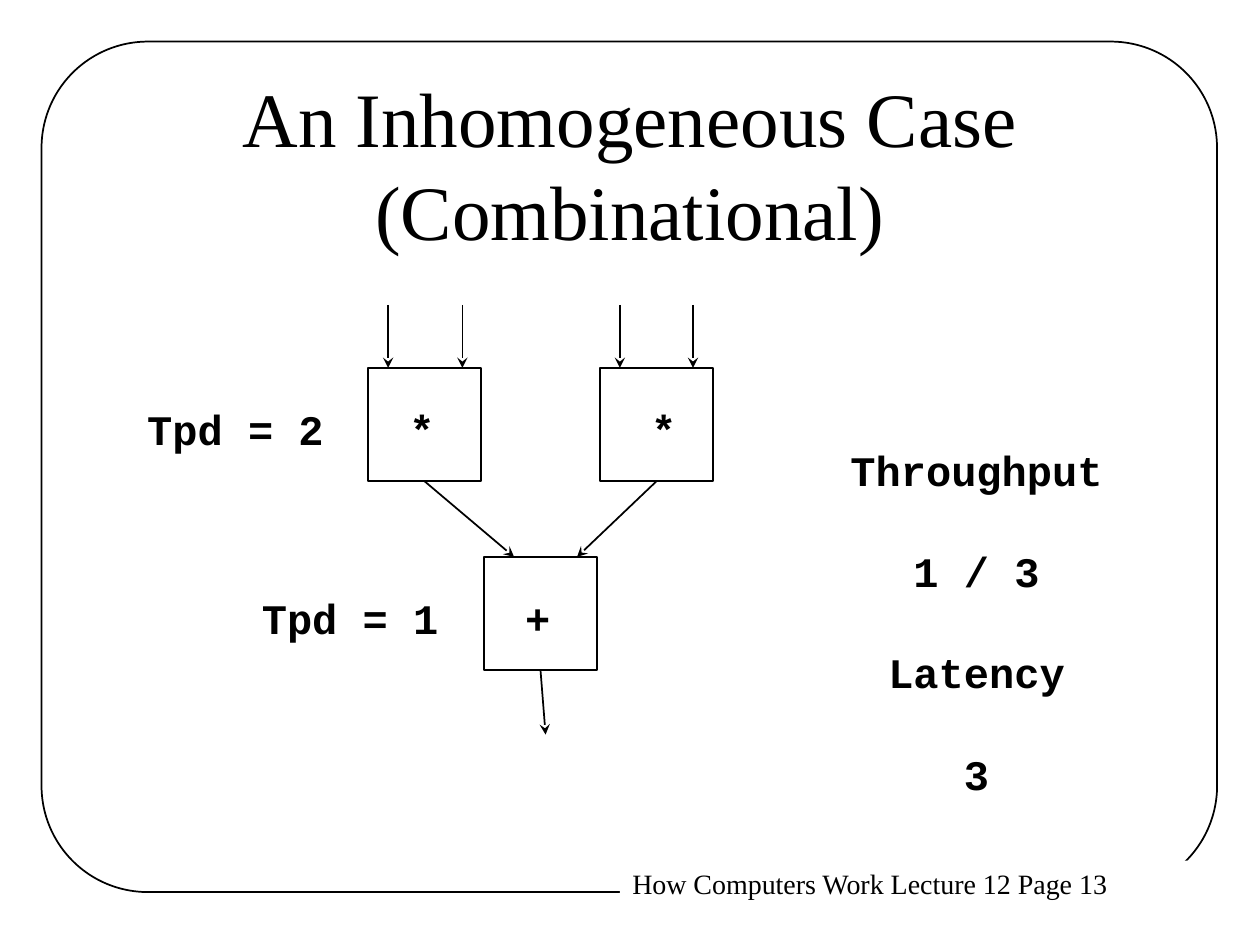
from dataclasses import dataclass

from lxml.etree import SubElement
from pptx import Presentation
from pptx.dml.color import RGBColor
from pptx.enum.shapes import MSO_CONNECTOR, MSO_SHAPE
from pptx.enum.text import MSO_ANCHOR, PP_ALIGN
from pptx.oxml.ns import qn
from pptx.shapes.autoshape import Shape
from pptx.shapes.connector import Connector
from pptx.slide import Slide
from pptx.util import Inches, Pt

COLORS = {"ink": "000000", "paper": "FFFFFF"}
SERIF = "Times New Roman"
MONO = "Courier New"
BOX_SIZE = 0.9
INPUT_LENGTH = 0.5
BOTTOM_SIDE = 2


@dataclass
class Label:
    lines: list[str]
    left: float
    top: float
    width: float
    height: float
    font: str = MONO
    size: int = 24
    bold: bool = True
    align: PP_ALIGN = PP_ALIGN.LEFT
    anchor: MSO_ANCHOR = MSO_ANCHOR.TOP
    wrap: bool = False
    gap: float = 0
    filled: bool = False


@dataclass
class Operator:
    left: float
    top: float
    symbol: str
    symbol_left: float
    input_xs: tuple[float, ...] = ()


OPERATORS = [
    Operator(2.92, 2.92, "*", 3.15, (3.08, 3.67)),
    Operator(4.76, 2.92, "*", 5.07, (4.92, 5.5)),
    Operator(3.84, 4.42, "+", 4.07),
]
OUTPUT_ENDS = [(4.08, 4.42), (4.58, 4.42), (4.33, 5.83)]

FOOTER = Label(["How Computers Work Lecture 12 Page 13"], 4.92, 6.83, 4.7, 0.37,
               font=SERIF, size=16, bold=False, wrap=True, filled=True)
TITLE = Label(["An Inhomogeneous Case\v(Combinational)"], 0.75, 0.67, 8.5, 1.25,
              font=SERIF, size=44, bold=False, align=PP_ALIGN.CENTER,
              anchor=MSO_ANCHOR.MIDDLE, wrap=True)
RESULTS = Label(["Throughput", "1 / 3", "Latency", "3"], 6.65, 3.48, 2.2, 2.9,
                align=PP_ALIGN.CENTER, gap=29)
DELAYS = [
    Label(["Tpd = 2"], 1.07, 3.15, 1.6, 0.5),
    Label(["Tpd = 1"], 1.98, 4.65, 1.6, 0.5),
]


def color(name: str) -> RGBColor:
    return RGBColor.from_string(COLORS[name])


def add_outline(slide: Slide, kind: MSO_SHAPE, left: float, top: float,
                width: float, height: float) -> Shape:
    shape = slide.shapes.add_shape(
        kind, Inches(left), Inches(top), Inches(width), Inches(height))
    shape.shadow.inherit = False
    shape.fill.solid()
    shape.fill.fore_color.rgb = color("paper")
    shape.line.color.rgb = color("ink")
    shape.line.width = Pt(1)
    return shape


def add_label(slide: Slide, label: Label) -> None:
    """Write one paragraph per line; a vertical tab breaks within a paragraph."""
    box = slide.shapes.add_textbox(
        Inches(label.left), Inches(label.top), Inches(label.width), Inches(label.height))
    if label.filled:
        box.fill.solid()
        box.fill.fore_color.rgb = color("paper")
    frame = box.text_frame
    frame.word_wrap = label.wrap
    frame.vertical_anchor = label.anchor
    for index, line in enumerate(label.lines):
        paragraph = frame.add_paragraph() if index else frame.paragraphs[0]
        paragraph.alignment = label.align
        if index and label.gap:
            paragraph.space_before = Pt(label.gap)
        for part_index, part in enumerate(line.split("\v")):
            if part_index:
                paragraph.add_line_break()
            run = paragraph.add_run()
            run.text = part
            run.font.name = label.font
            run.font.size = Pt(label.size)
            run.font.bold = label.bold
            run.font.color.rgb = color("ink")


def add_arrow(slide: Slide, start: tuple[float, float],
              end: tuple[float, float]) -> Connector:
    arrow = slide.shapes.add_connector(
        MSO_CONNECTOR.STRAIGHT, *(Inches(value) for value in (*start, *end)))
    arrow.line.color.rgb = color("ink")
    arrow.line.width = Pt(1)
    SubElement(arrow.line._get_or_add_ln(), qn("a:tailEnd"), type="stealth")
    SubElement(arrow._element.spPr, qn("a:effectLst"))
    return arrow


def add_operator(slide: Slide, operator: Operator, output_end: tuple[float, float]) -> None:
    """Draw the box with its symbol, its inputs and the arrow leaving its bottom."""
    box = add_outline(slide, MSO_SHAPE.RECTANGLE, operator.left, operator.top,
                      BOX_SIZE, BOX_SIZE)
    for x in operator.input_xs:
        add_arrow(slide, (x, operator.top - INPUT_LENGTH), (x, operator.top))
    bottom_middle = (operator.left + BOX_SIZE / 2, operator.top + BOX_SIZE)
    output = add_arrow(slide, bottom_middle, output_end)
    output.begin_connect(box, BOTTOM_SIDE)
    add_label(slide, Label([operator.symbol], operator.symbol_left,
                           operator.top + 0.23, 0.4, 0.5))


def main() -> None:
    presentation = Presentation()
    presentation.slide_width = Inches(10)
    presentation.slide_height = Inches(7.5)
    slide = presentation.slides.add_slide(presentation.slide_layouts[6])

    border = add_outline(slide, MSO_SHAPE.ROUNDED_RECTANGLE, 0.33, 0.33, 9.33, 6.75)
    border.adjustments[0] = 0.125
    border.fill.background()

    add_label(slide, FOOTER)
    add_label(slide, TITLE)
    for operator, output_end in zip(OPERATORS, OUTPUT_ENDS):
        add_operator(slide, operator, output_end)
    for label in (RESULTS, *DELAYS):
        add_label(slide, label)

    presentation.save("out.pptx")


if __name__ == "__main__":
    main()
